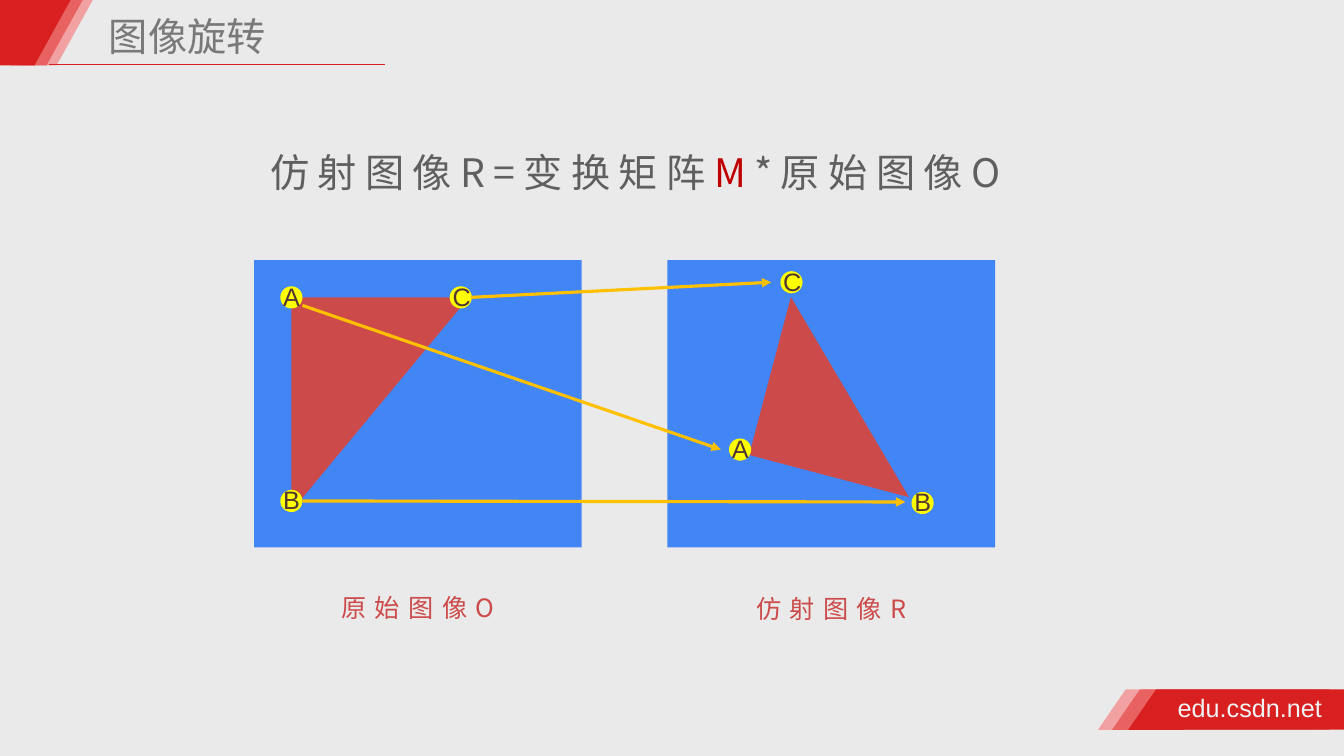
"""Build the image rotation slide: two panels linked by an affine transform."""
from lxml import etree
from pptx import Presentation
from pptx.dml.color import RGBColor
from pptx.enum import shapes, text
from pptx.oxml import ns
from pptx.util import Inches, Pt

RED, PINK, ROSE = "D82020", "F1A1A1", "E86262"
BLUE, BRICK, YELLOW, GOLD, GREY = "4285F4", "CC4B4A", "FFFF00", "FFC000", "5F5F5F"
CJK = "Noto Sans CJK SC"
KIND = shapes.MSO_SHAPE


def add_solid(kind, box, color, rotation=0):
    solid = slide.shapes.add_shape(kind, *map(Inches, box))
    solid.shadow.inherit = False
    solid.fill.solid()
    solid.fill.fore_color.rgb = RGBColor.from_string(color)
    solid.line.fill.background()
    solid.rotation = rotation


def write(holder, box, runs, size, font, align="LEFT", inset=0.1, spacing=0, wrap=True):
    holder.left, holder.top, holder.width, holder.height = map(Inches, box)
    frame = holder.text_frame
    frame.word_wrap = wrap
    frame.auto_size = text.MSO_AUTO_SIZE.NONE
    frame.vertical_anchor = text.MSO_ANCHOR.TOP
    frame.margin_left = frame.margin_right = Inches(inset)
    frame.margin_top = frame.margin_bottom = Inches(0.05)
    paragraph = frame.paragraphs[0]
    paragraph.alignment = text.PP_ALIGN[align]
    for words, color in runs:
        run = paragraph.add_run()
        run.text = words
        run.font.size = Pt(size)
        run.font.name = font
        run.font.color.rgb = RGBColor.from_string(color)
    for properties in holder.element.iter(ns.qn("a:rPr")):
        etree.SubElement(properties, ns.qn("a:ea"), typeface=font)
        if spacing:
            properties.set("spc", str(spacing * 100))
    return paragraph


deck = Presentation()
deck.slide_width, deck.slide_height = Inches(13.33), Inches(7.5)
slide = deck.slides.add_slide(deck.slide_layouts[5])
slide.background.fill.solid()
slide.background.fill.fore_color.rgb = RGBColor.from_string("EAEAEA")

for color, footer_left, header_left in [
    (PINK, 10.89, 0.2), (ROSE, 11.03, 0.1), (RED, 11.19, -0.02),
]:
    add_solid(KIND.RECTANGLE, (footer_left + 0.28, 6.84, 1.88, 0.4), color)
    add_solid(KIND.ISOSCELES_TRIANGLE, (footer_left, 6.84, 0.55, 0.4), color)
    add_solid(KIND.RECTANGLE, (header_left + 0.01, 0, 0.35, 0.65), color)
    add_solid(KIND.ISOSCELES_TRIANGLE, (header_left, 0, 0.72, 0.65), color, 180)

title = write(slide.shapes.title, (1.03, 0.12, 4.36, 0.53),
              [("图像旋转", "797979")], 28, CJK, inset=0.05)
title.line_spacing = 0.9

for left, triangle, angle in [
    (2.52, (2.71, 3.13, 2.12, 1.76), 90),
    (6.62, (7.61, 3.13, 1.64, 1.62), 14.8),
]:
    add_solid(KIND.RECTANGLE, (left, 2.58, 3.25, 2.85), BLUE)
    add_solid(KIND.RIGHT_TRIANGLE, triangle, BRICK, angle)

for letter, left, top in [
    ("A", 2.78, 2.84), ("B", 2.78, 4.86), ("C", 4.46, 2.84),
    ("C", 7.74, 2.69), ("A", 7.23, 4.35), ("B", 9.04, 4.88),
]:
    add_solid(KIND.OVAL, (left, top, 0.22, 0.22), YELLOW)
    write(slide.shapes.add_textbox(0, 0, 0, 0), (left - 0.07, top - 0.1, 0.23, 0.4),
          [(letter, "513535")], 18, "Arial")

for ends, color, width, has_arrow in [
    ((0.49, 0.64, 3.82, 0.64), RED, 1, False),
    ((3, 3.03, 7.15, 4.46), GOLD, 2.25, True),
    ((3, 4.97, 8.98, 4.98), GOLD, 2.25, True),
    ((4.67, 2.95, 7.65, 2.8), GOLD, 2.25, True),
]:
    link = slide.shapes.add_connector(shapes.MSO_CONNECTOR.STRAIGHT, *map(Inches, ends))
    link.line.color.rgb = RGBColor.from_string(color)
    link.line.width = Pt(width)
    if has_arrow:
        outline = link.element.spPr.find(ns.qn("a:ln"))
        etree.SubElement(outline, ns.qn("a:tailEnd"), type="triangle")
    etree.SubElement(link.element.spPr, ns.qn("a:effectLst"))

formula = [("仿射图像R=变换矩阵", GREY), ("M", "C00000"), ("*原始图像O", GREY)]
for box, runs, size in [
    ((1.53, 1.42, 9.54, 0.57), formula, 28),
    ((2.75, 5.83, 2.79, 0.4), [("原始图像O", BRICK)], 18),
    ((6.85, 5.84, 2.79, 0.4), [("仿射图像R", BRICK)], 18),
]:
    write(slide.shapes.add_textbox(0, 0, 0, 0), box, runs, size, CJK, "CENTER", spacing=6)

write(slide.shapes.add_textbox(0, 0, 0, 0), (11.63, 6.82, 1.55, 0.4),
      [("edu.csdn.net", "F2F2F2")], 18, "Arial", inset=0.05, wrap=False)

deck.save("out.pptx")
